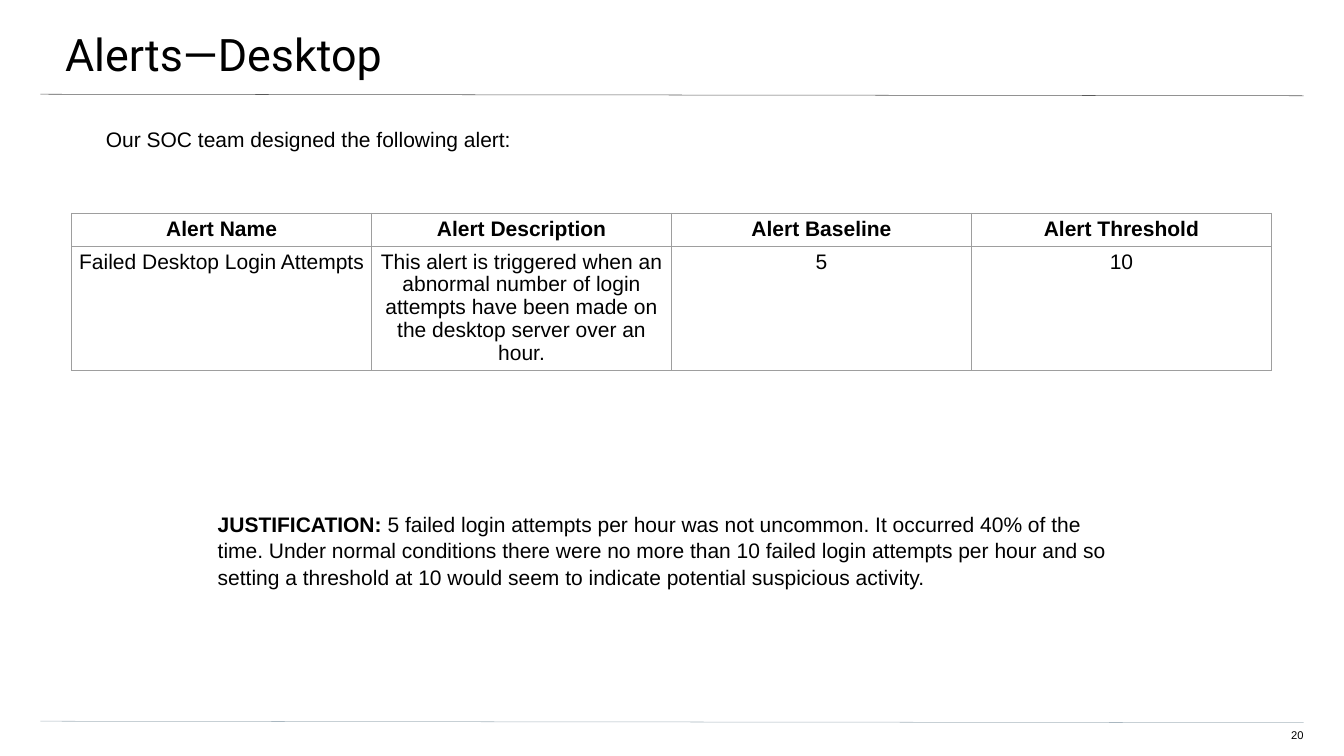
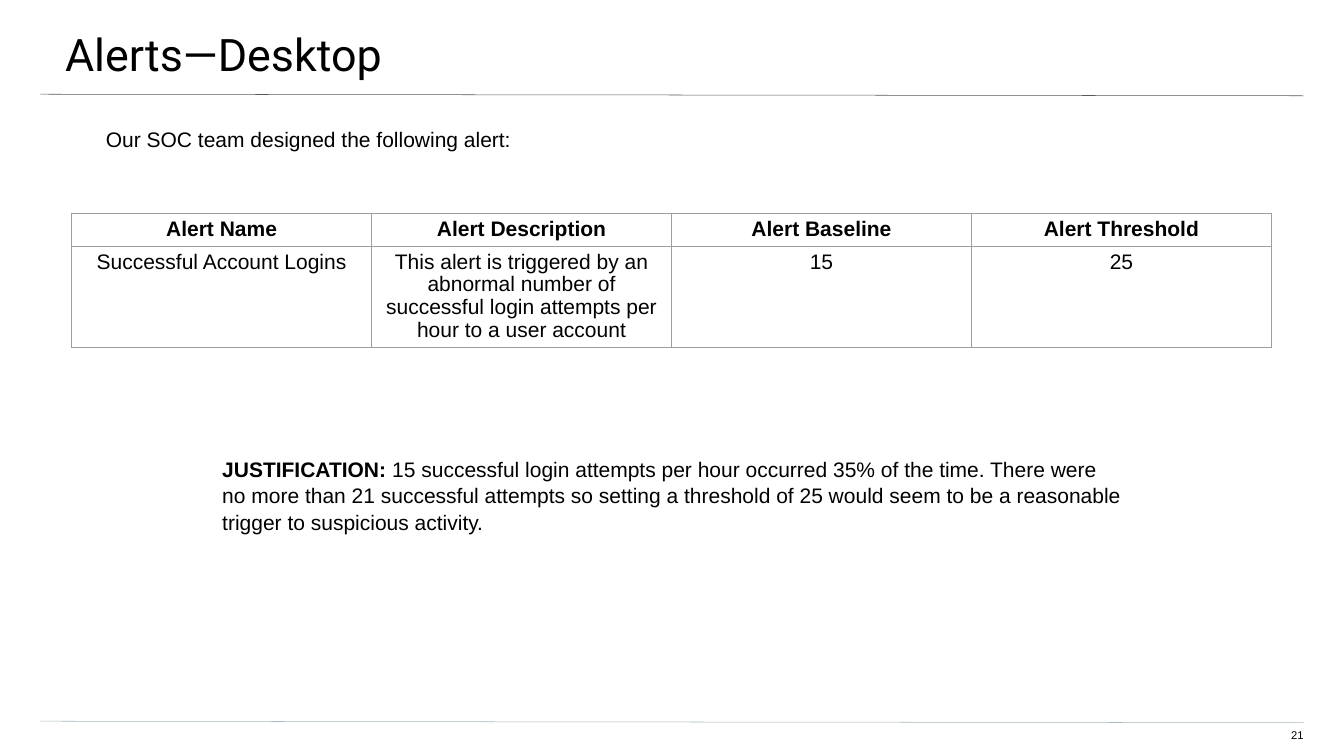
from lxml import etree
from pptx import Presentation
from pptx.dml.color import RGBColor
from pptx.enum.shapes import MSO_CONNECTOR
from pptx.enum.text import MSO_ANCHOR, MSO_AUTO_SIZE, PP_ALIGN
from pptx.oxml.ns import qn
from pptx.util import Inches, Pt

STRAIGHT = MSO_CONNECTOR.STRAIGHT
TOP = MSO_ANCHOR.TOP
NO_FIT = MSO_AUTO_SIZE.NONE
LEFT, CENTER, RIGHT = PP_ALIGN.LEFT, PP_ALIGN.CENTER, PP_ALIGN.RIGHT

WIDTH, HEIGHT = 26.66, 15
EDGE, END = 0.8, 25.86      # left and right limits of the rules
COL = 5.95                  # table column width
PAD = 0.1
SLOPE = 0.03                # fall of each rule from left to right

BLACK = RGBColor(0, 0, 0)
WHITE = RGBColor(255, 255, 255)
GRAY = RGBColor(0x59, 0x59, 0x59)
MIST = RGBColor(0xA9, 0xB7, 0xC0)
GRID = RGBColor(0x9E, 0x9E, 0x9E)
SANS, HEAD = "Arial", "Roboto"

TITLE = "Alerts—Desktop"
INTRO = "Our SOC team designed the following alert:"
HEADS = ["Alert Name", "Alert Description", "Alert Baseline", "Alert Threshold"]
FIRST = 20                  # number of the first page

# Each alert: table row, reason, box of the reason
ALERTS = [
    (["Failed Desktop Login Attempts",
      "This alert is triggered when an abnormal number of login attempts "
      "have been made on the desktop server over an hour.", "5", "10"],
     "5 failed login attempts per hour was not uncommon. It occurred 40% of "
     "the time. Under normal conditions there were no more than 10 failed "
     "login attempts per hour and so setting a threshold at 10 would seem to "
     "indicate potential suspicious activity.",
     (4.22, 10.02, 18.12, 1.72)),
    (["Successful Account Logins",
      "This alert is triggered by an abnormal number of successful login "
      "attempts per hour to a user account", "15", "25"],
     "15 successful login attempts per hour occurred 35% of the time. There "
     "were no more than 21 successful attempts so setting a threshold of 25 "
     "would seem to be a reasonable trigger to suspicious activity.",
     (4.31, 8.93, 18.12, 1.72)),
]


def style(para, size=30, font=SANS, align=LEFT, bold=None, space=None):
    para.alignment = align
    para.font.size, para.font.name = Pt(size), font
    para.font.color.rgb = BLACK
    para.font.bold = bold
    if space:
        para.line_spacing = space


def fit(shape, box, insets):
    """Place a shape and set up its text frame."""
    shape.left, shape.top, shape.width, shape.height = map(Inches, box)
    frame = shape.text_frame
    frame.word_wrap, frame.auto_size = True, NO_FIT
    frame.vertical_anchor = TOP
    (frame.margin_left, frame.margin_top,
     frame.margin_right, frame.margin_bottom) = map(Inches, insets)
    return frame


def add_text(slide, box, insets, *texts):
    """Add a one-paragraph box with a run for each text."""
    shape = slide.shapes.add_textbox(*map(Inches, box))
    para = fit(shape, box, insets).paragraphs[0]
    for text in texts:
        para.add_run().text = text
    return para


def add_rule(slide, top, color):
    ends = map(Inches, (EDGE, top, END, top + SLOPE))
    rule = slide.shapes.add_connector(STRAIGHT, *ends)
    rule.line.color.rgb, rule.line.width = color, Pt(0.75)
    props = rule._element.spPr
    etree.SubElement(props, qn("a:effectLst"))


def add_frame(slide, page):
    """Title, two rules and page number."""
    slide.background.fill.solid()
    slide.background.fill.fore_color.rgb = WHITE
    add_rule(slide, 1.87, GRAY)
    add_rule(slide, 14.31, MIST)
    frame = fit(slide.shapes.title, (-0.04, 0, 26.73, 1.56),
                (1.33, 0.53, 0.8, 0.27))
    frame.text = TITLE
    style(frame.paragraphs[0], 64, HEAD)
    para = add_text(slide, (END - 0.76, 14.46, 0.76, 0.31),
                    (0, 0, 0, 0.27), str(page))
    style(para, 16, align=RIGHT)


def add_border(cell):
    props = cell._tc.get_or_add_tcPr()
    for spot, side in enumerate(("a:lnL", "a:lnR", "a:lnT", "a:lnB")):
        line = etree.Element(qn(side), w=str(Pt(0.75)))
        fill = etree.SubElement(line, qn("a:solidFill"))
        etree.SubElement(fill, qn("a:srgbClr"), val=str(GRID))
        props.insert(spot, line)


def add_grid(slide, left, top, rows):
    """Alert table with a bold head row."""
    count = len(HEADS)
    box = map(Inches, (left, top, COL * count, 1.35))
    table = slide.shapes.add_table(len(rows), count, *box).table
    table.first_row = table.horz_banding = False
    for col in table.columns:
        col.width = Inches(COL)
    for row, tall in zip(table.rows, (0.42, 0.93)):
        row.height = Inches(tall)
    for r, texts in enumerate(rows):
        for c, text in enumerate(texts):
            cell = table.cell(r, c)
            cell.text = text
            cell.margin_left = cell.margin_right = Inches(PAD)
            cell.margin_top = cell.margin_bottom = Inches(PAD)
            cell.fill.background()
            add_border(cell)
            style(cell.text_frame.paragraphs[0], align=CENTER,
                  bold=r == 0, space=0.97)


def add_alert(deck, page, row, reason, box):
    slide = deck.slides.add_slide(deck.slide_layouts[5])
    add_frame(slide, page)
    # Intro line
    style(add_text(slide, (0.77, 2.51, 25.09, 10.79),
                   (1.33, 0, 1.33, 2.67), INTRO))
    add_grid(slide, 1.42, 4.23, [HEADS, row])
    # Reason for the limits
    para = add_text(slide, box, [PAD] * 4, "JUSTIFICATION: ", reason)
    style(para, space=1.05)
    para.runs[0].font.bold = True


def main():
    deck = Presentation()
    deck.slide_width, deck.slide_height = Inches(WIDTH), Inches(HEIGHT)
    for page, alert in enumerate(ALERTS, FIRST):
        add_alert(deck, page, *alert)
    deck.save("out.pptx")


if __name__ == "__main__":
    main()
